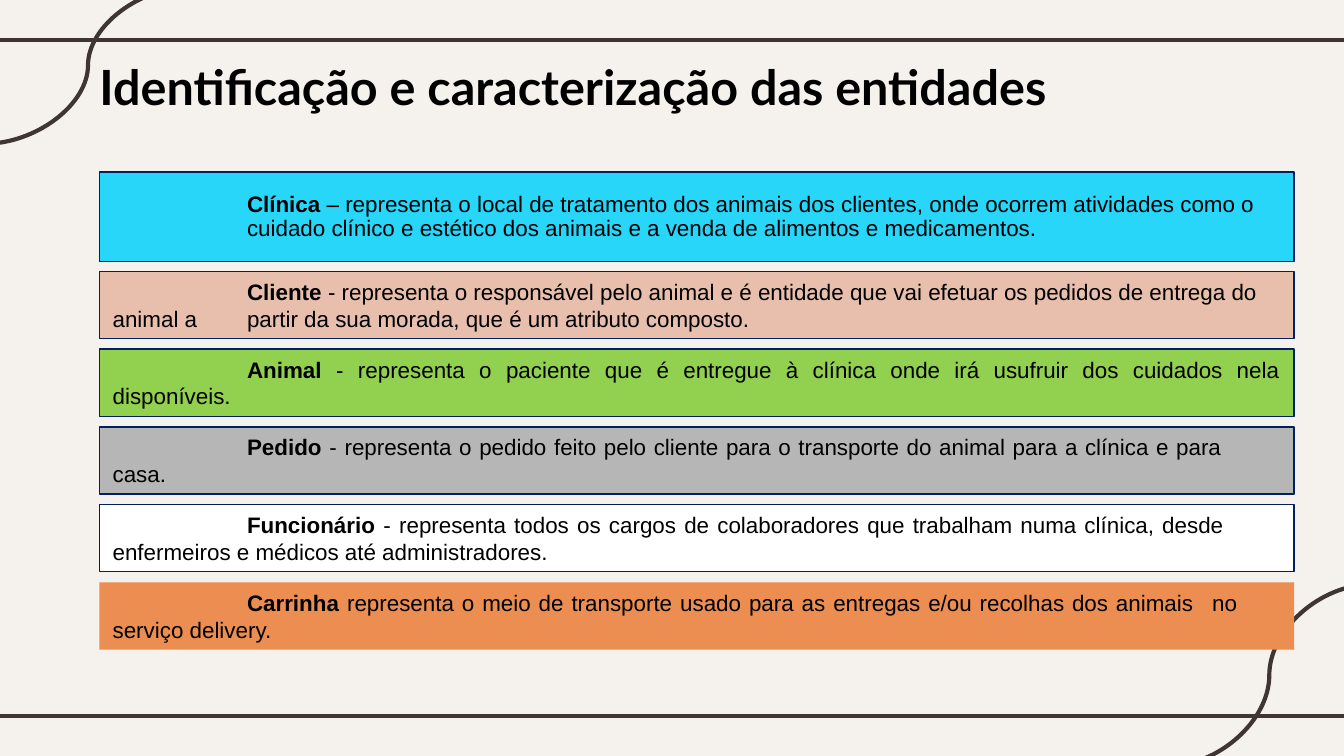
from lxml.etree import SubElement
from pptx import Presentation
from pptx.dml.color import RGBColor
from pptx.enum.shapes import MSO_CONNECTOR, MSO_SHAPE
from pptx.enum.text import MSO_ANCHOR, MSO_AUTO_SIZE, PP_ALIGN
from pptx.oxml.ns import qn
from pptx.util import Cm, Pt

INK, NAVY, BLACK = "3F3533", "002060", "000000"
LEFT, WIDTH, TAB = 1.88, 22.58, 2.54
TOP, STEP, HIGH = 5.13, 1.47, 1.27
FLUSH = dict.fromkeys(
    ("margin_left", "margin_right", "margin_top", "margin_bottom"), 0)

CLINIC = ("Clínica",
          " – representa o local de tratamento dos animais dos clientes, onde "
          "ocorrem atividades como o cuidado clínico e estético dos animais e "
          "a venda de alimentos e medicamentos.")
ROWS = [
    ("E8BEAC", NAVY, "\tCliente ",
     "- representa o responsável pelo animal e é entidade que vai efetuar os "
     "pedidos de entrega do \tanimal a \tpartir da sua morada, que é um "
     "atributo composto."),
    ("92D050", NAVY, "\tAnimal",
     " - representa o paciente que é entregue à clínica onde irá usufruir dos "
     "cuidados nela disponíveis."),
    ("B6B6B6", NAVY, "\tPedido ",
     "- representa o pedido feito pelo cliente para o transporte do animal "
     "para a clínica e para \tcasa."),
    ("FFFFFF", NAVY, "\tFuncionário ",
     "- representa todos os cargos de colaboradores que trabalham numa "
     "clínica, desde \tenfermeiros e médicos até administradores."),
    ("EC8D52", None, "\tCarrinha",
     " representa o meio de transporte usado para as entregas e/ou recolhas "
     "dos animais \tno \tserviço delivery."),
]


def color(code):
    return RGBColor.from_string(code)


def apply(target, style):
    for name, value in style.items():
        setattr(target, name, value)


def add_run(para, text, size, face, bold):
    run = para.add_run()
    run.text = text
    apply(run.font, {"size": Pt(size), "name": face, "bold": bold})
    run.font.color.rgb = color(BLACK)


def add_line(slide, kind, *ends):
    line = slide.shapes.add_connector(kind, *map(Cm, ends))
    line.line.color.rgb = color(INK)
    line.line.width = Pt(2.25)
    SubElement(line._element.spPr, qn("a:effectLst"))


def add_title(slide, text):
    box = slide.shapes.add_textbox(Cm(LEFT), Cm(0.51), Cm(21.56), Cm(2.39))
    apply(box.text_frame, {"word_wrap": True,
                           "vertical_anchor": MSO_ANCHOR.MIDDLE, **FLUSH})
    para = box.text_frame.paragraphs[0]
    para.line_spacing = 0.9
    add_run(para, text, 26, "Lato", True)


def add_bar(slide, top, high, fill, edge, width, frame):
    """Add a filled bar and return its paragraph."""
    bar = slide.shapes.add_shape(
        MSO_SHAPE.RECTANGLE, Cm(LEFT), Cm(top), Cm(WIDTH), Cm(high))
    bar.shadow.inherit = False
    bar.fill.solid()
    bar.fill.fore_color.rgb = color(fill)
    if edge:
        bar.line.color.rgb = color(edge)
        bar.line.width = Pt(width)
    else:
        bar.line.fill.background()
    apply(bar.text_frame, {"word_wrap": True, **frame})
    return bar.text_frame.paragraphs[0]


def add_entity(para, name, text):
    add_run(para, name, 12, "Arial", True)
    add_run(para, text, 12, "Arial", False)


def add_tabs(para):
    """Set a tab stop at every inch of the bar."""
    tabs = SubElement(para._p.get_or_add_pPr(), qn("a:tabLst"))
    for n in range(1, 9):
        SubElement(tabs, qn("a:tab"), pos=str(Cm(n * TAB)), algn="l")


def main():
    deck = Presentation()
    apply(deck, {"slide_width": Cm(25.4), "slide_height": Cm(14.29)})
    slide = deck.slides.add_slide(deck.slide_layouts[6])
    slide.background.fill.solid()
    slide.background.fill.fore_color.rgb = color("F5F2EE")

    for y in (0.76, 13.54):
        add_line(slide, MSO_CONNECTOR.STRAIGHT, -0.2, y, 25.6, y)
    add_line(slide, MSO_CONNECTOR.CURVE, 25.91, 11.05, 22.07, 14.48)
    add_line(slide, MSO_CONNECTOR.CURVE, 3.63, -0.25, -0.3, 2.72)
    add_title(slide, "Identificação e caracterização das entidades")

    para = add_bar(slide, 3.25, 1.7, "27D6F9", NAVY, 0,
                   {"vertical_anchor": MSO_ANCHOR.MIDDLE, **FLUSH})
    para._p.get_or_add_pPr().set("marL", str(Cm(2.79)))
    apply(para, {"alignment": PP_ALIGN.LEFT, "line_spacing": 0.9})
    add_entity(para, *CLINIC)

    for n, (fill, edge, name, text) in enumerate(ROWS):
        para = add_bar(slide, TOP + n * STEP, HIGH, fill, edge, 0.75,
                       {"vertical_anchor": MSO_ANCHOR.TOP,
                        "auto_size": MSO_AUTO_SIZE.SHAPE_TO_FIT_TEXT})
        add_tabs(para)
        para.alignment = PP_ALIGN.JUSTIFY
        add_entity(para, name, text)

    deck.save("out.pptx")


if __name__ == "__main__":
    main()
